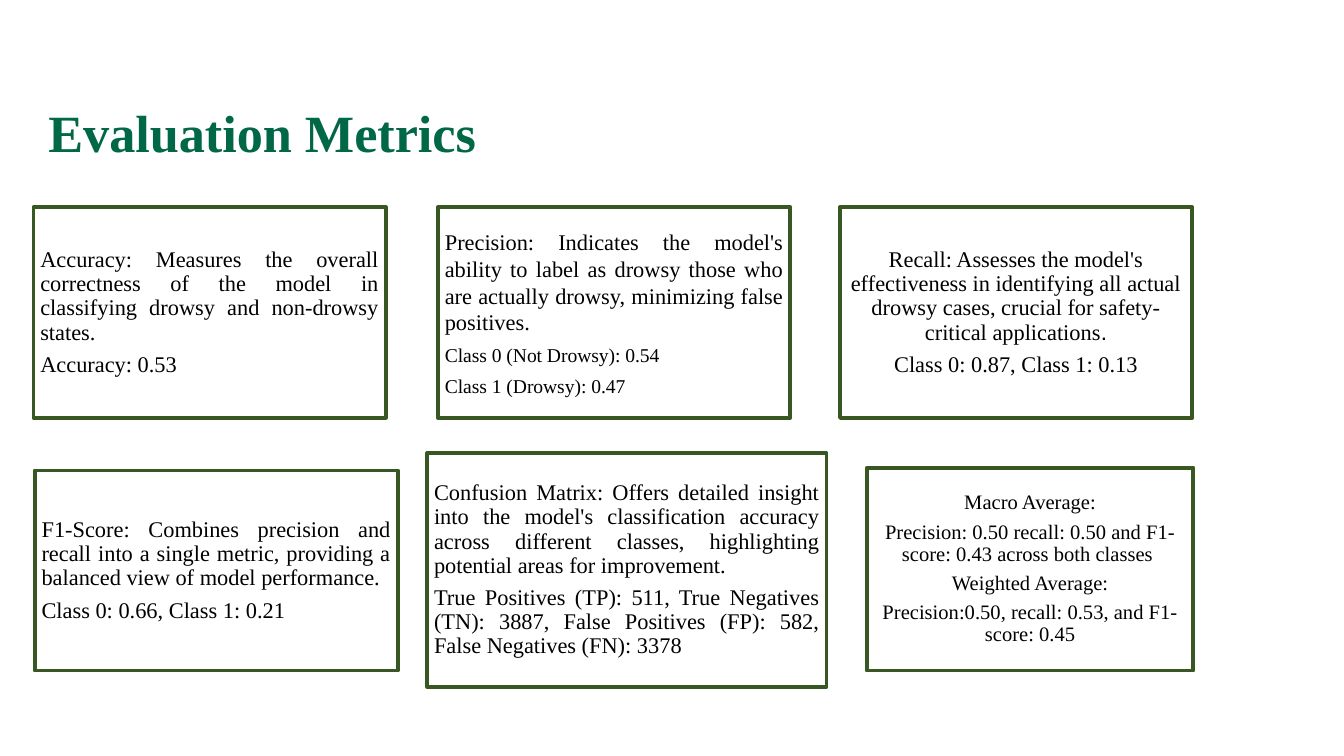
import pptx
import pptx.dml.color
import pptx.enum.shapes
import pptx.enum.text
import pptx.util
from pptx.util import Inches

TITLE_GREEN = pptx.dml.color.RGBColor(0x00, 0x67, 0x47)
BORDER_GREEN = pptx.dml.color.RGBColor(0x38, 0x57, 0x23)
WHITE = pptx.dml.color.RGBColor(0xFF, 0xFF, 0xFF)
BLACK = pptx.dml.color.RGBColor(0x00, 0x00, 0x00)
FONT = "Times New Roman"
JUSTIFY = pptx.enum.text.PP_ALIGN.JUSTIFY
CENTER = pptx.enum.text.PP_ALIGN.CENTER
MIDDLE = pptx.enum.text.MSO_ANCHOR.MIDDLE

# 16:9 slide
presentation = pptx.Presentation()
presentation.slide_width = Inches(10)
presentation.slide_height = Inches(10 * 9 / 16)
slide = presentation.slides.add_slide(presentation.slide_layouts[5])

# Title
title = slide.shapes.title
title.left, title.top = Inches(0.26), Inches(0.63)
title.width, title.height = Inches(9.05), Inches(0.76)
title.text_frame.text = "Evaluation Metrics"
title.text_frame.vertical_anchor = MIDDLE
paragraph = title.text_frame.paragraphs[0]
paragraph.alignment = pptx.enum.text.PP_ALIGN.LEFT
paragraph.line_spacing = 0.9
font = paragraph.runs[0].font
font.name, font.size, font.bold = FONT, pptx.util.Pt(28), True
font.color.rgb = TITLE_GREEN

# Metric cards: left, top, width, height, alignment, line spacing, (text, size) lines
cards = [
    (0.25, 1.54, 2.62, 1.57, JUSTIFY, 0.9, [
        ("Accuracy: Measures the overall correctness of the model in "
         "classifying drowsy and non-drowsy states.", 12),
        ("Accuracy: 0.53 ", 12)]),
    (3.26, 1.54, 2.62, 1.57, JUSTIFY, 1.0, [
        ("Precision: Indicates the model's ability to label as drowsy those "
         "who are actually drowsy, minimizing false positives.", 12),
        ("Class 0 (Not Drowsy): 0.54", 10.5),
        ("Class 1 (Drowsy): 0.47", 10.5)]),
    (6.25, 1.54, 2.62, 1.57, CENTER, 0.9, [
        ("Recall: Assesses the model's effectiveness in identifying all actual "
         "drowsy cases, crucial for safety-critical applications", 12),
        ("Class 0: 0.87, Class 1: 0.13", 12)]),
    (0.26, 3.5, 2.7, 1.49, JUSTIFY, 0.9, [
        ("F1-Score: Combines precision and recall into a single metric, "
         "providing a balanced view of model performance.", 12),
        ("Class 0: 0.66, Class 1: 0.21", 12)]),
    (6.45, 3.48, 2.43, 1.51, CENTER, 0.9, [
        ("Macro Average:", 11),
        ("Precision: 0.50 recall: 0.50 and F1-score: 0.43 across both classes ", 11),
        ("Weighted Average:", 11),
        ("Precision:0.50, recall: 0.53, and F1-score: 0.45", 11)]),
    (3.18, 3.37, 2.97, 1.74, JUSTIFY, 0.9, [
        ("Confusion Matrix: Offers detailed insight into the model's "
         "classification accuracy across different classes, highlighting "
         "potential areas for improvement.", 12),
        ("True Positives (TP): 511, True Negatives (TN): 3887, "
         "False Positives (FP): 582, False Negatives (FN): 3378 ", 12)]),
]

for left, top, width, height, alignment, line_spacing, lines in cards:
    card = slide.shapes.add_shape(
        pptx.enum.shapes.MSO_SHAPE.RECTANGLE,
        Inches(left), Inches(top), Inches(width), Inches(height))
    card.shadow.inherit = False
    card.fill.solid()
    card.fill.fore_color.rgb = WHITE
    card.line.color.rgb = BORDER_GREEN
    card.line.width = pptx.util.Pt(2)

    text_frame = card.text_frame
    text_frame.word_wrap = True
    text_frame.vertical_anchor = MIDDLE
    text_frame.margin_left = text_frame.margin_right = Inches(0.05)
    text_frame.margin_top = text_frame.margin_bottom = Inches(0.05)
    text_frame.text = "\n".join(text for text, size in lines)
    for paragraph, (text, size) in zip(text_frame.paragraphs, lines):
        paragraph.alignment = alignment
        paragraph.line_spacing = line_spacing
        paragraph.space_after = pptx.util.Pt(0.35 * size)
        font = paragraph.runs[0].font
        font.name, font.size = FONT, pptx.util.Pt(size)
        font.color.rgb = BLACK

# The full stop of the recall definition is set in Arial
recall_card = slide.shapes[3]
full_stop = recall_card.text_frame.paragraphs[0].add_run()
full_stop.text = "."
full_stop.font.name, full_stop.font.size = "Arial", pptx.util.Pt(12)
full_stop.font.color.rgb = BLACK

presentation.save("out.pptx")
